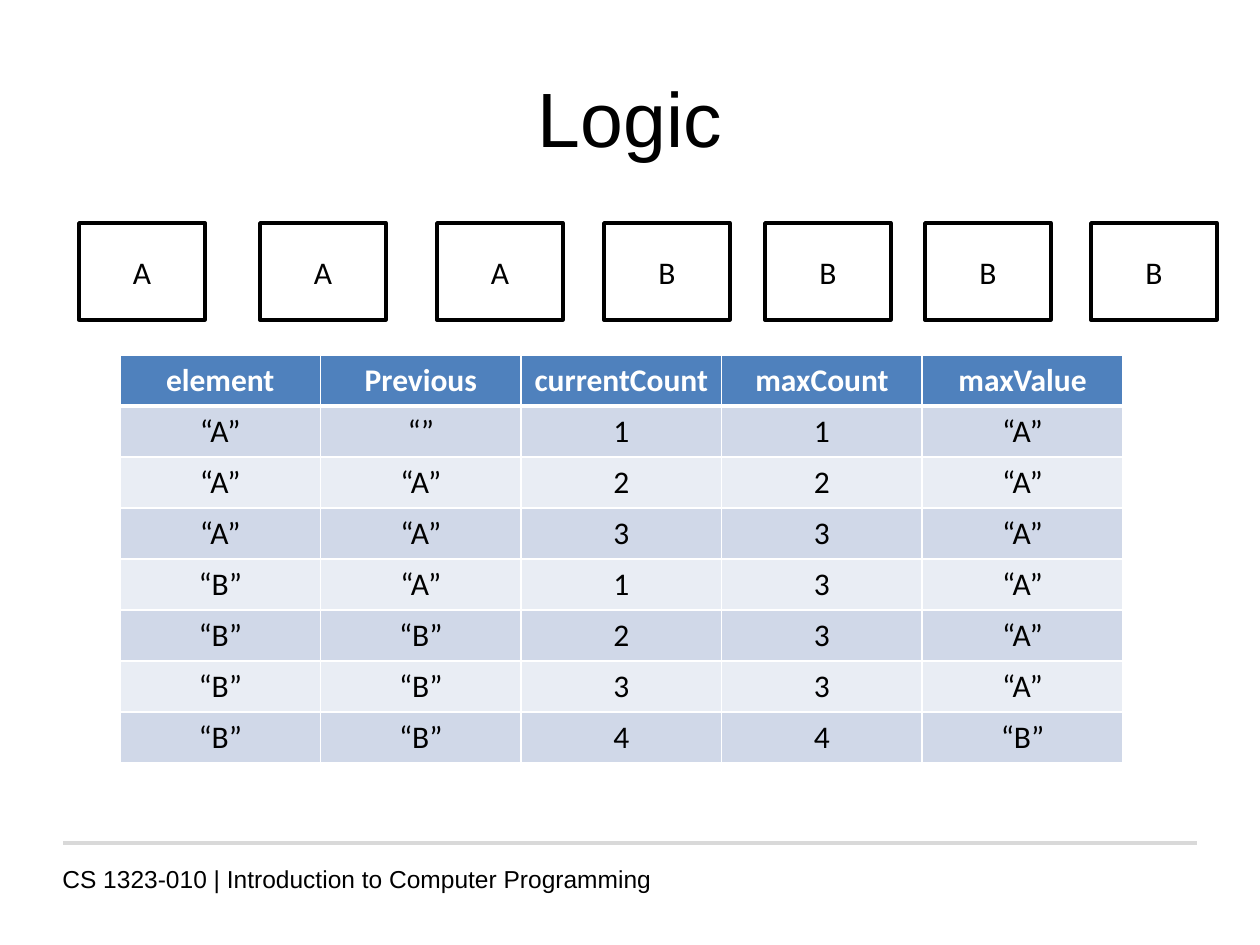
from dataclasses import dataclass

from lxml.etree import SubElement
from pptx import Presentation
from pptx.dml.color import RGBColor
from pptx.enum.shapes import MSO_CONNECTOR, MSO_SHAPE
from pptx.enum.text import MSO_ANCHOR, PP_ALIGN
from pptx.oxml.ns import qn
from pptx.util import Emu, Pt


@dataclass(frozen=True)
class Theme:
    """Colours, fonts and type sizes of the slide."""
    ink: str = "000000"
    paper: str = "FFFFFF"
    rule: str = "D9D9D9"
    header: str = "4F81BD"
    bands: tuple = ("D0D8E8", "E9EDF4")
    heading_font: str = "Arial"
    body_font: str = "Calibri"
    title_size: int = 44
    body_size: int = 18
    footer_size: int = 14


THEME = Theme()
LETTERS = "AAABBBB"
LETTER_LEFTS = (79, 260, 437, 604, 765, 925, 1091)
HEADINGS = ("element", "Previous", "currentCount", "maxCount", "maxValue")
TRACE = (
    ("“A”", "“”", "1", "1", "“A”"),
    ("“A”", "“A”", "2", "2", "“A”"),
    ("“A”", "“A”", "3", "3", "“A”"),
    ("“B”", "“A”", "1", "3", "“A”"),
    ("“B”", "“B”", "2", "3", "“A”"),
    ("“B”", "“B”", "3", "3", "“A”"),
    ("“B”", "“B”", "4", "4", "“B”"),
)


def px(pixels):
    """Turn pixels at 126 to the inch into EMU."""
    return Emu(round(pixels * 914400 / 126))


def rgb(colour):
    """Turn a hex string into a colour."""
    return RGBColor.from_string(colour)


def write(frame, text, font, size, colour=THEME.ink, align=PP_ALIGN.CENTER, bold=False):
    """Put one formatted paragraph into a text frame."""
    frame.text = text
    paragraph = frame.paragraphs[0]
    paragraph.alignment = align
    paragraph.font.name = font
    paragraph.font.size = Pt(size)
    paragraph.font.bold = bold
    paragraph.font.color.rgb = rgb(colour)


def add_title(slide, text):
    """Place and format the title placeholder."""
    title = slide.shapes.title
    title.left, title.top, title.width, title.height = map(px, (63, 38, 1134, 157))
    title.text_frame.vertical_anchor = MSO_ANCHOR.MIDDLE
    write(title.text_frame, text, THEME.heading_font, THEME.title_size)


def add_footer(slide, text):
    """Draw the rule and the course line below it."""
    rule = slide.shapes.add_connector(MSO_CONNECTOR.STRAIGHT, px(63), px(843), px(1197), px(843))
    rule.line.color.rgb = rgb(THEME.rule)
    rule.line.width = Pt(2)
    SubElement(rule._element.spPr, qn("a:effectLst"))
    course = slide.shapes.add_textbox(px(50), px(858), px(1134), px(35))
    course.text_frame.word_wrap = True
    write(course.text_frame, text, THEME.heading_font, THEME.footer_size, align=PP_ALIGN.LEFT)


def add_letter(slide, left, letter):
    """Draw one boxed array element."""
    box = slide.shapes.add_shape(MSO_SHAPE.RECTANGLE, px(left), px(223), px(126), px(97))
    box.shadow.inherit = False
    box.fill.solid()
    box.fill.fore_color.rgb = rgb(THEME.paper)
    box.line.color.rgb = rgb(THEME.ink)
    box.line.width = Pt(2)
    box.text_frame.vertical_anchor = MSO_ANCHOR.MIDDLE
    write(box.text_frame, letter, THEME.body_font, THEME.body_size)


def set_borders(cell, top, bottom):
    """Give a cell solid borders, with top and bottom widths in points."""
    properties = cell._tc.get_or_add_tcPr()
    widths = {"a:lnL": 1, "a:lnR": 1, "a:lnT": top, "a:lnB": bottom}
    for position, (side, width) in enumerate(widths.items()):
        border = properties.makeelement(qn(side), {"w": str(Pt(width))})
        fill = SubElement(border, qn("a:solidFill"))
        SubElement(fill, qn("a:srgbClr"), val=THEME.paper)
        properties.insert(position, border)


def add_trace(slide, rows):
    """Build the table that traces the variables, header row first."""
    frame = slide.shapes.add_table(len(rows), len(rows[0]), px(120), px(355), px(1003), px(408))
    table = frame.table
    for row, values in enumerate(rows):
        is_header = row == 0
        fill = THEME.header if is_header else THEME.bands[(row - 1) % 2]
        colour = THEME.paper if is_header else THEME.ink
        for column, value in enumerate(values):
            cell = table.cell(row, column)
            cell.fill.solid()
            cell.fill.fore_color.rgb = rgb(fill)
            write(cell.text_frame, value, THEME.body_font, THEME.body_size, colour, bold=is_header)
            set_borders(cell, 3 if row == 1 else 1, 3 if is_header else 1)


def main():
    """Build and save the slide."""
    presentation = Presentation()
    presentation.slide_width, presentation.slide_height = px(1260), px(945)
    slide = presentation.slides.add_slide(presentation.slide_layouts[5])
    add_footer(slide, "CS 1323-010 | Introduction to Computer Programming")
    add_title(slide, "Logic")
    for left, letter in zip(LETTER_LEFTS, LETTERS):
        add_letter(slide, left, letter)
    add_trace(slide, (HEADINGS, *TRACE))
    presentation.save("out.pptx")


main()
